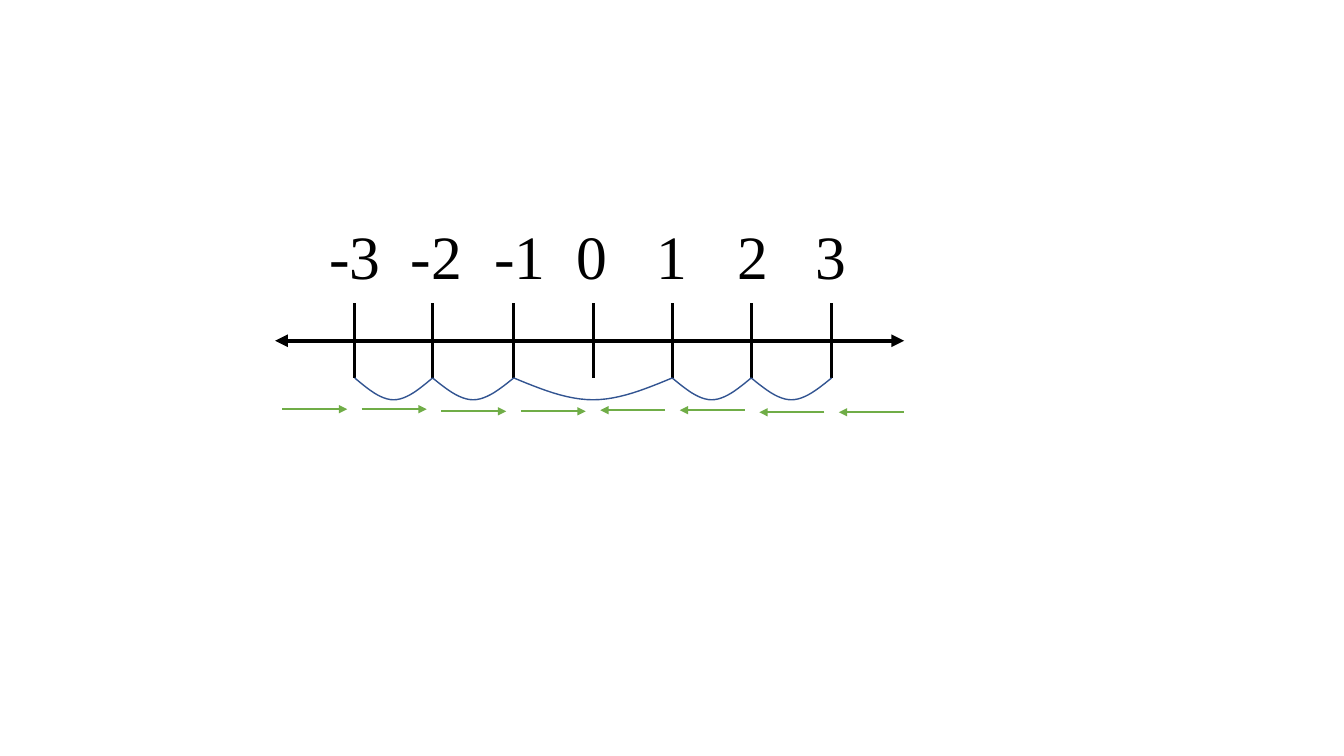
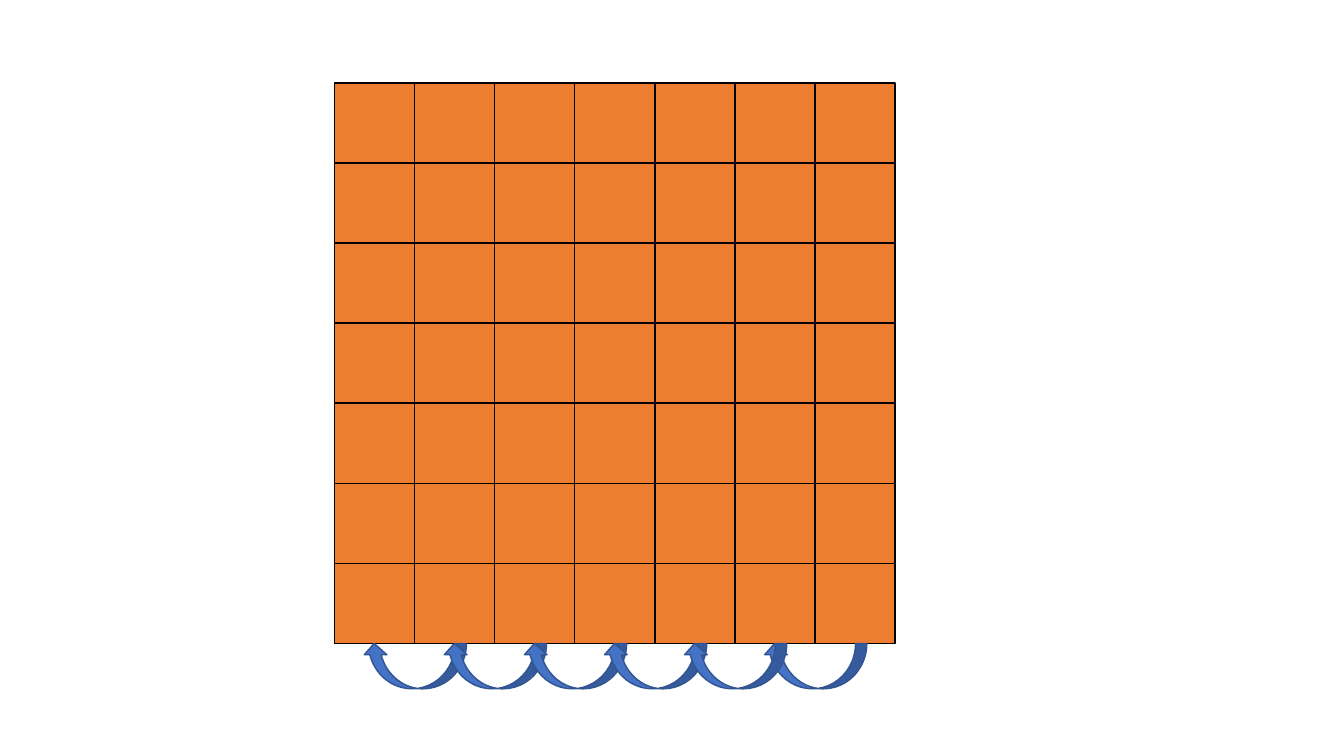
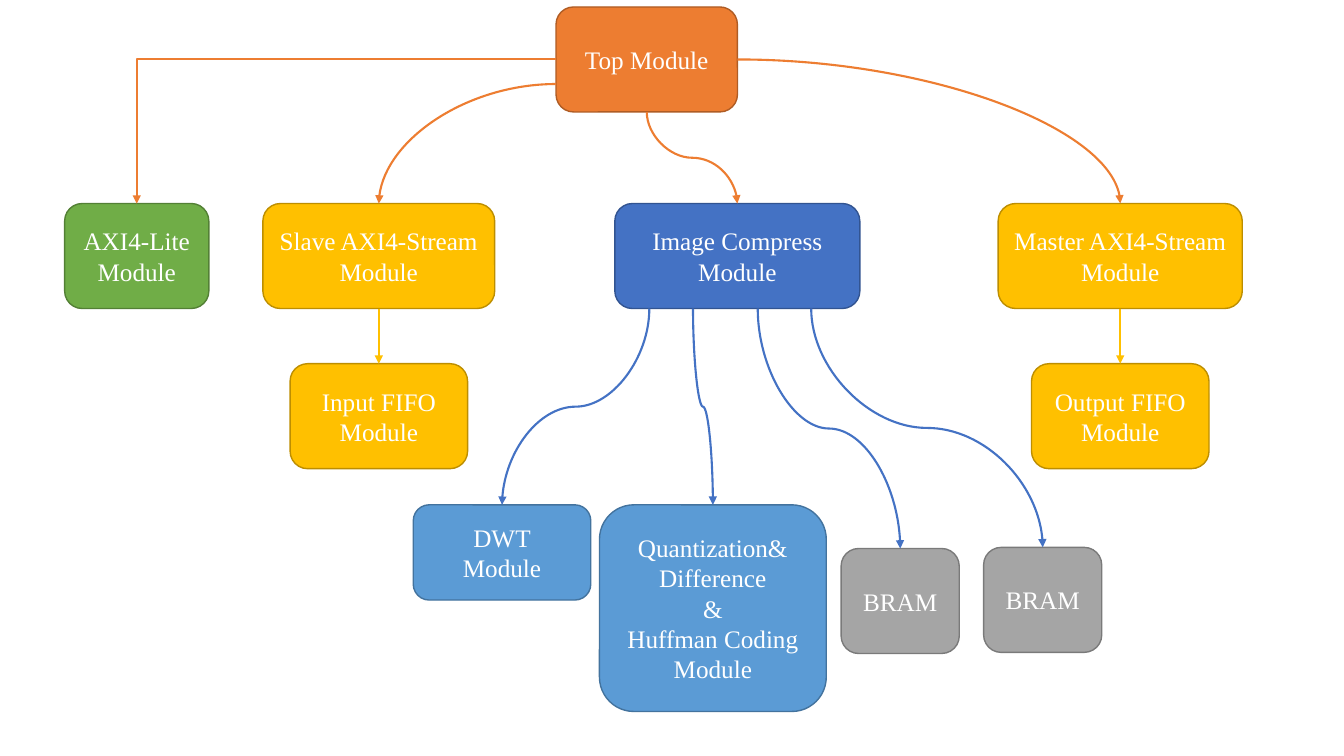
from pptx import Presentation
from pptx.dml.color import RGBColor
from pptx.enum.shapes import MSO_CONNECTOR, MSO_SHAPE
from pptx.enum.text import MSO_ANCHOR, PP_ALIGN
from pptx.oxml.ns import qn
from pptx.util import Pt
from lxml import etree

STRAIGHT = MSO_CONNECTOR.STRAIGHT
RECT, ROUNDED = MSO_SHAPE.RECTANGLE, MSO_SHAPE.ROUNDED_RECTANGLE
UP_ARROW = MSO_SHAPE.CURVED_UP_ARROW
CENTER, MIDDLE = PP_ALIGN.CENTER, MSO_ANCHOR.MIDDLE

FONT = "Times New Roman"
BLACK, WHITE = "000000", "FFFFFF"
ORANGE, GREEN, GOLD = "ED7D31", "70AD47", "FFC000"
BLUE, SKY, GRAY = "4472C4", "5B9BD5", "A5A5A5"
EDGE = {ORANGE: "AF5C24", GREEN: "538035", GOLD: "BD8E00",
        BLUE: "325491", SKY: "43739E", GRAY: "7A7A7A"}

# Number line: label, tick x, label centre x
TICKS = [("-3", 253.4, 253.4), ("-2", 309, 311.8), ("-1", 367, 371.5),
         ("0", 424, 423), ("1", 480.2, 480), ("2", 536.6, 537.5),
         ("3", 594, 593.6)]
TICK_TOP, TICK_BOTTOM, AXIS_Y = 216.7, 270, 243.4
AXIS_ENDS = (196.6, 645.8)
ARCS = [("-3", "-2"), ("-2", "-1"), ("-1", "1"), ("1", "2"), ("2", "3")]
ARC_DEPTH, ARC_STEPS = 15.6, 12
STEP_LEFT, STEP_PITCH, STEP_WIDTH = 201.6, 56.8, 46.4
STEP_YS = [292.3, 292.3, 293.8, 293.8, 293, 293, 294.5, 294.5]

# Grid
GRID_LEFT, GRID_TOP, CELL, GRID_SIZE = 239, 59.2, 57.2, 7
HOP_ORDER = [0, 1, 5, 2, 3, 4]
HOP_SHIFT, HOP_WIDTH, HOP_HEIGHT = 20.2, 74, 32.4

# Module tree: key, lines, colour, (left, top, width, height)
MODULES = [
    ("top", ["Top Module"], ORANGE, (397.2, 5, 129.6, 75)),
    ("lite", ["AXI4-Lite Module"], GREEN, (46.2, 145.4, 103, 75)),
    ("slave", ["Slave AXI4-Stream", "Module"], GOLD, (187.8, 145.4, 165.6, 75)),
    ("input", ["Input FIFO", "Module"], GOLD, (207.2, 259.8, 126.8, 75)),
    ("master", ["Master AXI4-Stream", "Module"], GOLD, (713, 145.4, 174.4, 75)),
    ("output", ["Output FIFO", "Module"], GOLD, (736.8, 259.8, 126.8, 75)),
    ("image", ["Image Compress Module"], BLUE, (439.2, 145.4, 175, 75)),
    ("dwt", ["DWT", "Module"], SKY, (295.2, 360.6, 126.8, 68)),
    ("coding", ["Quantization&", "Difference", "&", "Huffman Coding", "Module"],
     SKY, (428.2, 360.6, 162, 147.6)),
    ("bram1", ["BRAM"], GRAY, (600.8, 391.8, 84.4, 75)),
    ("bram2", ["BRAM"], GRAY, (702.6, 391, 84.4, 75)),
]
STRAIGHT_LINKS = [("slave", "input"), ("master", "output")]
# source, start x, target
DOWN_LINKS = [("image", 463.8, "dwt"), ("image", 495, "coding"),
              ("image", 541.2, "bram1"), ("image", 579.4, "bram2"),
              ("top", 462, "image")]
# geometry, start x, start y, target
SIDE_LINKS = [("bentConnector2", 397.2, 42.2, "lite"),
              ("curvedConnector2", 397.2, 60, "slave"),
              ("curvedConnector2", 526.8, 42.5, "master")]


def rgb(value):
    return RGBColor.from_string(value)


def set_line(obj, color, width):
    obj.line.color.rgb = rgb(color)
    obj.line.width = Pt(width)


def add_shape(s, kind, box, fill, edge):
    sp = s.shapes.add_shape(kind, *map(Pt, box))
    sp.shadow.inherit = False
    sp.fill.solid()
    sp.fill.fore_color.rgb = rgb(fill)
    set_line(sp, edge, 1)
    return sp


def add_text(sp, lines, size, color, frame):
    tf = sp.text_frame
    for name, value in frame.items():
        setattr(tf, name, value)
    for i, line in enumerate(lines):
        p = tf.paragraphs[0] if i == 0 else tf.add_paragraph()
        p.alignment = CENTER
        r = p.add_run()
        r.text = line
        for name, value in {"size": Pt(size), "name": FONT}.items():
            setattr(r.font, name, value)
        r.font.color.rgb = rgb(color)


def add_line(s, start, end, color, width, arrows=()):
    """Draw a connector; arrows holds headEnd and/or tailEnd."""
    c = s.shapes.add_connector(STRAIGHT, *map(Pt, (*start, *end)))
    set_line(c, color, width)
    for arrow in arrows:
        etree.SubElement(c.line._get_or_add_ln(), qn("a:" + arrow), type="triangle")
    etree.SubElement(c._element.spPr, qn("a:effectLst"))
    return c


def bend(c, geometry, box, **turn):
    """Give a connector another preset geometry, frame and turn."""
    c.left, c.top, c.width, c.height = map(Pt, box)
    spPr = c._element.spPr
    spPr.find(qn("a:prstGeom")).set("prst", geometry)
    xfrm = spPr.find(qn("a:xfrm"))
    for name in ("flipH", "flipV"):
        xfrm.attrib.pop(name, None)
    for name, value in turn.items():
        xfrm.set(name, value)


def add_arc(s, x1, x2):
    half = (x2 - x1) / 2
    points = []
    for i in range(-ARC_STEPS, ARC_STEPS + 1):
        t = 1 - abs(i) / ARC_STEPS
        points.append((Pt(x1 + half * (1 + i / ARC_STEPS)),
                       Pt(TICK_BOTTOM + ARC_DEPTH * (1.5 * t - 0.5 * t ** 3))))
    builder = s.shapes.build_freeform(*points[0])
    builder.add_line_segments(points[1:], close=False)
    sp = builder.convert_to_shape()
    sp.shadow.inherit = False
    sp.fill.background()
    set_line(sp, EDGE[BLUE], 1)


def number_line(s):
    tick_x = {label: x for label, x, _ in TICKS}
    for label, x, center in TICKS:
        add_line(s, (x, TICK_TOP), (x, TICK_BOTTOM), BLACK, 2.25)
        width = 36.8 if len(label) == 1 else 51.8
        tb = s.shapes.add_textbox(*map(Pt, (center - width / 2, 152.4, width, 60.5)))
        add_text(tb, [label], 44, BLACK, {"word_wrap": False})
    for a, b in ARCS:
        add_arc(s, tick_x[a], tick_x[b])
    for i, y in enumerate(STEP_YS):
        left = STEP_LEFT + i * STEP_PITCH
        ends = [(left, y), (left + STEP_WIDTH, y)]
        if i >= len(STEP_YS) / 2:
            ends.reverse()
        add_line(s, *ends, GREEN, 1.5, ["tailEnd"])
    add_line(s, *[(x, AXIS_Y) for x in AXIS_ENDS], BLACK, 3, ["headEnd", "tailEnd"])


def grid(s):
    for row in range(GRID_SIZE):
        for col in range(GRID_SIZE):
            box = (GRID_LEFT + col * CELL, GRID_TOP + row * CELL, CELL, CELL)
            add_shape(s, RECT, box, ORANGE, BLACK)
    for col in HOP_ORDER:
        box = (GRID_LEFT + HOP_SHIFT + col * CELL, GRID_TOP + GRID_SIZE * CELL,
               HOP_WIDTH, HOP_HEIGHT)
        hop = add_shape(s, UP_ARROW, box, BLUE, EDGE[BLUE])
        hop._element.spPr.find(qn("a:xfrm")).set("flipH", "1")


def module_tree(s):
    shapes, boxes, colors = {}, {}, {}
    for key, lines, color, box in MODULES:
        sp = add_shape(s, ROUNDED, box, color, EDGE[color])
        add_text(sp, lines, 18, WHITE, {"word_wrap": True, "vertical_anchor": MIDDLE})
        shapes[key], boxes[key], colors[key] = sp, box, color

    def top_middle(key):
        left, top, width, _ = boxes[key]
        return left + width / 2, top

    def link(key, start, target):
        return add_line(s, start, top_middle(target), colors[key], 1.5, ["tailEnd"])

    for a, b in STRAIGHT_LINKS:
        c = link(a, top_middle(a), b)
        c.begin_connect(shapes[a], 2)
        c.end_connect(shapes[b], 0)
    for a, x1, b in DOWN_LINKS:
        y1 = boxes[a][1] + boxes[a][3]
        x2, y2 = top_middle(b)
        across, down = abs(x2 - x1), y2 - y1
        box = ((x1 + x2 - down) / 2, (y1 + y2 - across) / 2, down, across)
        turn = {"rot": "5400000"} if x2 < x1 else {"rot": "16200000", "flipH": "1"}
        bend(link(a, (x1, y1), b), "curvedConnector3", box, **turn)
    for geometry, x1, y1, b in SIDE_LINKS:
        x2, y2 = top_middle(b)
        box = (min(x1, x2), y1, abs(x2 - x1), y2 - y1)
        turn = {"rot": "10800000", "flipV": "1"} if x2 < x1 else {}
        bend(link("top", (x1, y1), b), geometry, box, **turn)


def main():
    prs = Presentation()
    prs.slide_width, prs.slide_height = Pt(960), Pt(540)
    for build in (number_line, grid, module_tree):
        build(prs.slides.add_slide(prs.slide_layouts[6]))
    prs.save("out.pptx")


if __name__ == "__main__":
    main()
